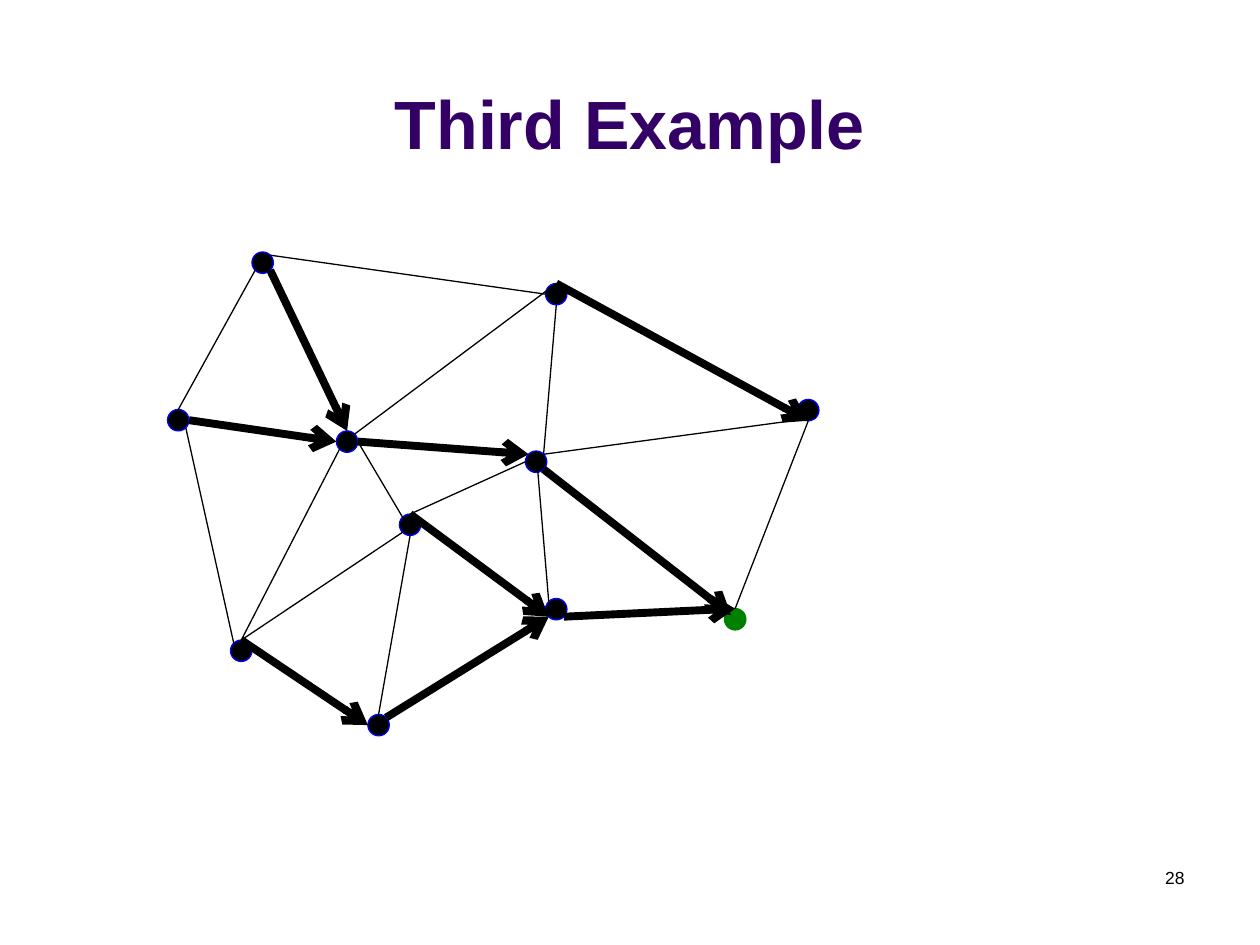
"""Build a slide showing a graph with bold directed paths towards a green target."""
from typing import NamedTuple

from lxml import etree
from pptx import Presentation
from pptx.dml.color import RGBColor
from pptx.enum import shapes, text
from pptx.oxml.ns import qn
from pptx.util import Inches, Pt

DIAMETER = 0.17
SITES = {
    "n": (0.5, 0), "s": (0.5, 1), "w": (0, 0.5), "e": (1, 0.5),
    "nw": (0.15, 0.15), "ne": (0.85, 0.15), "sw": (0.15, 0.85), "se": (0.85, 0.85),
    "inner": (0.3, 0.3),
}


class Node(NamedTuple):
    left: float
    top: float
    fill: str = "000000"
    line: str = "0000FF"

    def site(self, name: str) -> tuple:
        dx, dy = SITES[name]
        return Inches(self.left + dx * DIAMETER), Inches(self.top + dy * DIAMETER)


class Edge(NamedTuple):
    start: str
    start_site: str
    end: str
    end_site: str
    bold: bool = False


NODES = {
    "A": Node(2, 2),
    "B": Node(1.33, 3.25),
    "C": Node(4.33, 2.25),
    "D": Node(4.33, 4.75),
    "E": Node(2.92, 5.67),
    "F": Node(2.67, 3.42),
    "G": Node(6.33, 3.17),
    "H": Node(3.17, 4.08),
    "I": Node(1.83, 5.08),
    "J": Node(4.17, 3.58),
    "target": Node(5.75, 4.83, "008000", "008000"),
}

EDGES = [
    Edge("A", "se", "F", "n", True),
    Edge("A", "sw", "B", "n"),
    Edge("B", "se", "I", "nw"),
    Edge("F", "e", "H", "nw"),
    Edge("J", "se", "target", "inner", True),
    Edge("C", "s", "J", "ne"),
    Edge("C", "n", "G", "s", True),
    Edge("G", "s", "target", "n"),
    Edge("I", "n", "E", "w", True),
    Edge("H", "n", "D", "sw", True),
    Edge("D", "se", "target", "n", True),
    Edge("J", "n", "D", "nw"),
    Edge("H", "s", "E", "n"),
    Edge("F", "e", "J", "nw", True),
    Edge("B", "e", "F", "w", True),
    Edge("I", "n", "H", "sw"),
    Edge("E", "ne", "D", "sw", True),
    Edge("I", "n", "F", "sw"),
    Edge("H", "n", "J", "w"),
    Edge("J", "ne", "G", "se"),
    Edge("A", "ne", "C", "w"),
    Edge("F", "ne", "C", "n"),
]


def rgb(value: str) -> RGBColor:
    return RGBColor.from_string(value)


def add_text(slide, content: str, box: tuple, *, size: float, color: str = "000000",
             bold: bool = False, align=text.PP_ALIGN.LEFT, anchor=text.MSO_ANCHOR.TOP) -> None:
    tf = slide.shapes.add_textbox(*map(Inches, box)).text_frame
    tf.word_wrap = True
    tf.vertical_anchor = anchor
    p = tf.paragraphs[0]
    p.alignment = align
    r = p.add_run()
    r.text = content
    r.font.name = "Arial"
    r.font.size = Pt(size)
    r.font.bold = bold
    r.font.color.rgb = rgb(color)


def add_node(slide, node: Node) -> None:
    sp = slide.shapes.add_shape(shapes.MSO_SHAPE.OVAL, Inches(node.left), Inches(node.top),
                                Inches(DIAMETER), Inches(DIAMETER))
    sp.shadow.inherit = False
    sp.fill.solid()
    sp.fill.fore_color.rgb = rgb(node.fill)
    sp.line.color.rgb = rgb(node.line)
    sp.line.width = Pt(0.75)


def add_edge(slide, edge: Edge) -> None:
    start = NODES[edge.start].site(edge.start_site)
    end = NODES[edge.end].site(edge.end_site)
    cxn = slide.shapes.add_connector(shapes.MSO_CONNECTOR.STRAIGHT, *start, *end)
    cxn.line.color.rgb = rgb("000000")
    cxn.line.width = Pt(4.5 if edge.bold else 0.75)
    if edge.bold:
        etree.SubElement(cxn.line._get_or_add_ln(), qn("a:tailEnd"), type="arrow")
    etree.SubElement(cxn._element.spPr, qn("a:effectLst"))


def main() -> None:
    prs = Presentation()
    prs.slide_width, prs.slide_height = Inches(10), Inches(7.5)
    s = prs.slides.add_slide(prs.slide_layouts[6])
    add_text(s, "Third Example", (0, 0.39, 10, 0.95), size=39, color="330066", bold=True,
             align=text.PP_ALIGN.CENTER, anchor=text.MSO_ANCHOR.BOTTOM)
    add_text(s, "28", (7.17, 6.83, 2.33, 0.5), size=10, align=text.PP_ALIGN.RIGHT)
    for node in NODES.values():
        add_node(s, node)
    for edge in EDGES:
        add_edge(s, edge)
    prs.save("out.pptx")


if __name__ == "__main__":
    main()
